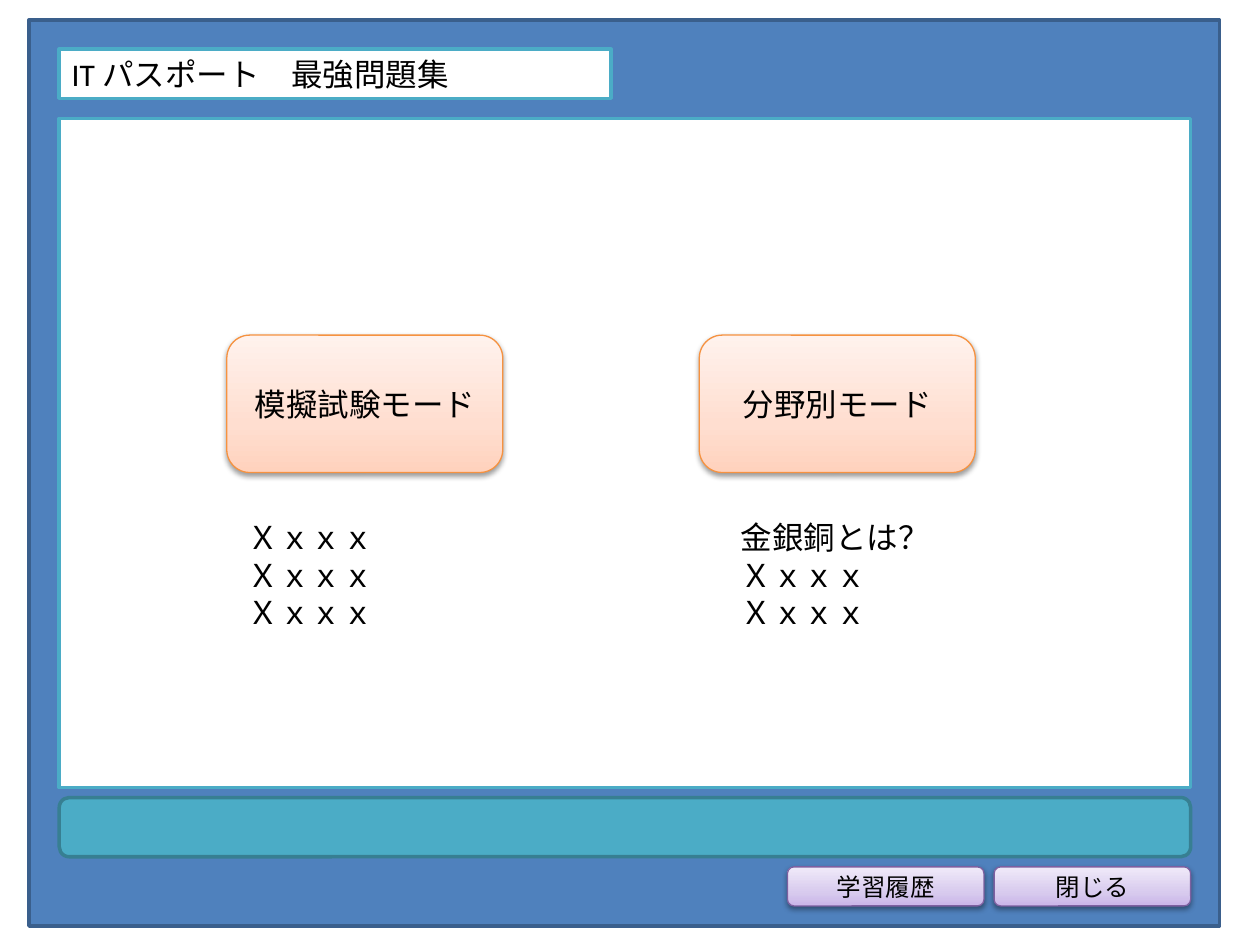
from lxml import etree
from pptx import Presentation, util as u
from pptx.dml.color import RGBColor
from pptx.enum import shapes, text
from pptx.oxml import parse_xml
from pptx.oxml.ns import nsdecls, qn

# Content
TITLE = "IT パスポート　最強問題集"
SAMPLE = "Ｘｘｘｘ"
# name, description lines, description left and width
MODES = [
    ("模擬試験モード", [SAMPLE] * 3, 1.87, 2.03),
    ("分野別モード", ["金銀銅とは？", SAMPLE, SAMPLE], 5.78, 1.88),
]
COMMANDS = ["学習履歴", "閉じる"]

# Style
COLORS = {"frame": "4F81BD", "frame_edge": "3A5F8C", "paper": "FFFFFF",
          "teal": "4BACC6", "teal_edge": "377F92", "ink": "000000",
          "mode_edge": "F69240", "command_edge": "7D60A0"}
MODE_SHADES = [(0, "FFD2BD"), (35, "FFDED0"), (100, "FFF2ED")]
COMMAND_SHADES = [(0, "C9B5E8"), (35, "D8CBEE"), (100, "F0EAF9")]
RECT = shapes.MSO_SHAPE.RECTANGLE
ROUND = shapes.MSO_SHAPE.ROUNDED_RECTANGLE

# Layout in inches
LEFT, WIDTH = 0.47, 8.98
MODE_LEFT, MODE_STEP = 1.8, 3.75
COMMAND_WIDTH, COMMAND_STEP = 1.56, 1.64

prs = Presentation()
prs.slide_width, prs.slide_height = u.Inches(10), u.Inches(7.5)
slide = prs.slides.add_slide(prs.slide_layouts[6])


def write(part, lines, size=18, align=text.PP_ALIGN.LEFT):
    frame = part.text_frame
    frame.word_wrap = True
    frame.text = "\n".join(lines)
    for paragraph in frame.paragraphs:
        paragraph.alignment = align
        for run in paragraph.runs:
            run.font.size = u.Pt(size)
            run.font.name = "Calibri"
            run.font.color.rgb = RGBColor.from_string(COLORS["ink"])


def panel(kind, box, fill, edge, weight=2):
    part = slide.shapes.add_shape(kind, *map(u.Inches, box))
    part.shadow.inherit = False
    part.fill.solid()
    part.fill.fore_color.rgb = RGBColor.from_string(COLORS[fill])
    part.line.color.rgb = RGBColor.from_string(COLORS[edge])
    part.line.width = u.Pt(weight)
    part.text_frame.vertical_anchor = text.MSO_ANCHOR.MIDDLE
    return part


def button(label, box, shades, edge, size):
    part = panel(ROUND, box, "paper", edge, 0.75)
    # Three-stop gradient, running upwards
    stops = "".join(f'<a:gs pos="{pos * 1000}"><a:srgbClr val="{shade}"/></a:gs>'
                    for pos, shade in shades)
    props = part._element.spPr
    props.replace(props.find(qn("a:solidFill")), parse_xml(
        f'<a:gradFill {nsdecls("a")} rotWithShape="1"><a:gsLst>{stops}</a:gsLst>'
        '<a:lin ang="16200000" scaled="0"/></a:gradFill>'))
    # Soft shadow below
    shadow = etree.SubElement(props.find(qn("a:effectLst")), qn("a:outerShdw"),
                              blurRad="40000", dist="20000", dir="5400000",
                              rotWithShape="0")
    black = etree.SubElement(shadow, qn("a:srgbClr"), val=COLORS["ink"])
    etree.SubElement(black, qn("a:alpha"), val="38000")
    write(part, [label], size, text.PP_ALIGN.CENTER)


# Window: frame, title bar, work area, status bar
panel(RECT, (0.23, 0.16, 9.45, 7.19), "frame", "frame_edge")
write(panel(RECT, (LEFT, 0.39, 4.38, 0.39), "paper", "teal"), [TITLE])
panel(RECT, (LEFT, 0.94, WIDTH, 5.31), "paper", "teal")
panel(ROUND, (LEFT, 6.33, WIDTH, 0.47), "teal", "teal_edge")

# Mode buttons with their descriptions
for i, (mode, lines, left, width) in enumerate(MODES):
    button(mode, (MODE_LEFT + i * MODE_STEP, 2.66, 2.19, 1.09),
           MODE_SHADES, "mode_edge", 18)
    description = slide.shapes.add_textbox(
        *map(u.Inches, (left, 4.06, width, 1.01)))
    write(description, lines)
    description.text_frame.auto_size = text.MSO_AUTO_SIZE.SHAPE_TO_FIT_TEXT

# Command buttons, aligned to the right edge of the work area
first = LEFT + WIDTH - COMMAND_WIDTH - COMMAND_STEP * (len(COMMANDS) - 1)
for i, command in enumerate(COMMANDS):
    button(command, (first + i * COMMAND_STEP, 6.88, COMMAND_WIDTH, 0.31),
           COMMAND_SHADES, "command_edge", 14)

prs.save("out.pptx")
